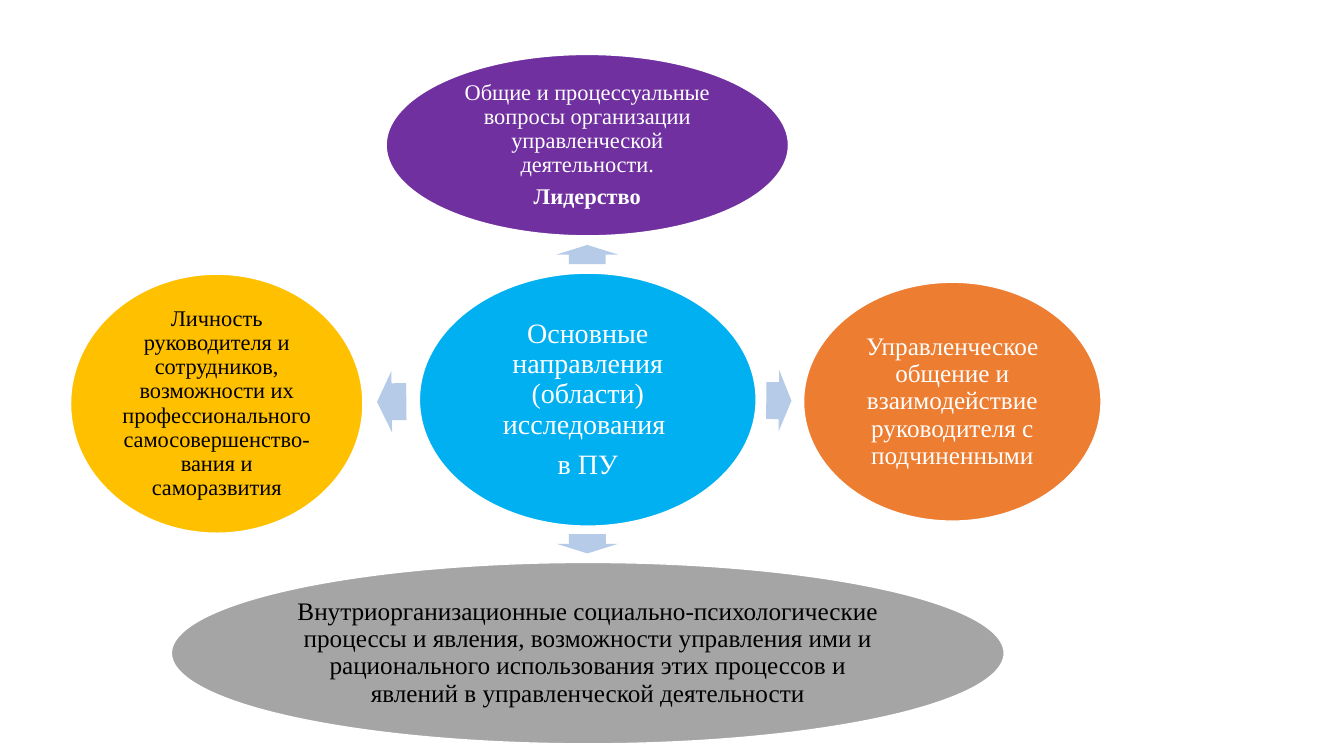
from dataclasses import dataclass

import pptx
import pptx.dml.color
import pptx.enum.shapes
import pptx.enum.text
import pptx.util
from pptx.util import Inches

FONT = "Times New Roman"
WHITE, BLACK, PALE_BLUE = "FFFFFF", "000000", "B5CBE7"
SHAPES = pptx.enum.shapes.MSO_SHAPE


@dataclass
class Oval:
    """One topic of the diagram; bounds are left, top, width, height in inches."""
    bounds: tuple[float, float, float, float]
    fill: str
    ink: str
    size: int
    inset: float
    lines: list[str]
    bold_last: bool = False


@dataclass
class Arrow:
    """A block arrow, with the bounds it has before it is rotated."""
    bounds: tuple[float, float, float, float]
    rotation: float


OVALS = [
    Oval((4.16, 2.71, 3.34, 2.51), "00B0F0", WHITE, 20, 0.03,
         ["Основные направления (области) исследования ", "в ПУ"]),
    Oval((3.83, 0.54, 3.99, 1.8), "7030A0", WHITE, 16, 0.02,
         ["Общие и процессуальные вопросы организации управленческой деятельности.",
          "Лидерство"], bold_last=True),
    Oval((7.97, 2.8, 2.95, 2.37), "ED7D31", WHITE, 18, 0.03,
         ["Управленческое общение и взаимодействие руководителя с подчиненными"]),
    Oval((1.7, 5.58, 8.26, 1.8), "A5A5A5", BLACK, 18, 0.03,
         ["Внутриорганизационные социально-психологические процессы и явления, "
          "возможности управления ими и рационального использования этих процессов "
          "и явлений в управленческой деятельности"]),
    Oval((0.7, 2.72, 2.9, 2.57), "FFC000", BLACK, 16, 0.02,
         ["Личность руководителя и сотрудников, возможности их профессионального "
          "самосовершенство-вания и саморазвития"]),
]

ARROWS = [
    Arrow((5.73, 2.22, 0.19, 0.61), 270),
    Arrow((7.6, 3.67, 0.25, 0.61), 0.5),
    Arrow((5.73, 5.09, 0.19, 0.61), 90),
    Arrow((3.74, 3.68, 0.29, 0.61), 179.4),
]


def colour(value: str) -> pptx.dml.color.RGBColor:
    """Turn a hex string into a colour."""
    return pptx.dml.color.RGBColor.from_string(value)


def add_filled(page, kind, bounds: tuple[float, float, float, float], fill: str):
    """Add a preset shape with a plain fill and no shadow."""
    shape = page.shapes.add_shape(kind, *(Inches(length) for length in bounds))
    shape.shadow.inherit = False
    shape.fill.solid()
    shape.fill.fore_color.rgb = colour(fill)
    return shape


def write(para, text: str, *, size: int, ink: str, bold: bool) -> None:
    """Write one centred paragraph."""
    para.alignment = pptx.enum.text.PP_ALIGN.CENTER
    para.line_spacing = 0.9
    para.space_after = pptx.util.Pt(0.35 * size)
    span = para.add_run()
    span.text = text
    span.font.name = FONT
    span.font.size = pptx.util.Pt(size)
    span.font.bold = bold
    span.font.color.rgb = colour(ink)


def draw_oval(page, oval: Oval) -> None:
    """Draw a topic with its text."""
    shape = add_filled(page, SHAPES.OVAL, oval.bounds, oval.fill)
    shape.line.color.rgb = colour(WHITE)
    shape.line.width = pptx.util.Pt(1)
    box = shape.text_frame
    box.word_wrap = True
    box.vertical_anchor = pptx.enum.text.MSO_ANCHOR.MIDDLE
    box.margin_left = box.margin_right = Inches(oval.inset)
    box.margin_top = box.margin_bottom = Inches(oval.inset)
    last = len(oval.lines) - 1
    for index, text in enumerate(oval.lines):
        para = box.add_paragraph() if index else box.paragraphs[0]
        write(para, text, size=oval.size, ink=oval.ink,
              bold=oval.bold_last and index == last)


def draw_arrow(page, arrow: Arrow) -> None:
    """Draw an arrow leading away from the central topic."""
    shape = add_filled(page, SHAPES.RIGHT_ARROW, arrow.bounds, PALE_BLUE)
    shape.line.fill.background()
    shape.adjustments[0] = 0.6
    shape.adjustments[1] = 0.5
    shape.rotation = arrow.rotation


def main() -> None:
    """Build the slide and save it."""
    deck = pptx.Presentation()
    deck.slide_width, deck.slide_height = Inches(13.33), Inches(7.5)
    page = deck.slides.add_slide(deck.slide_layouts[6])
    for arrow in ARROWS:
        draw_arrow(page, arrow)
    for oval in OVALS:
        draw_oval(page, oval)
    deck.save("out.pptx")


main()
